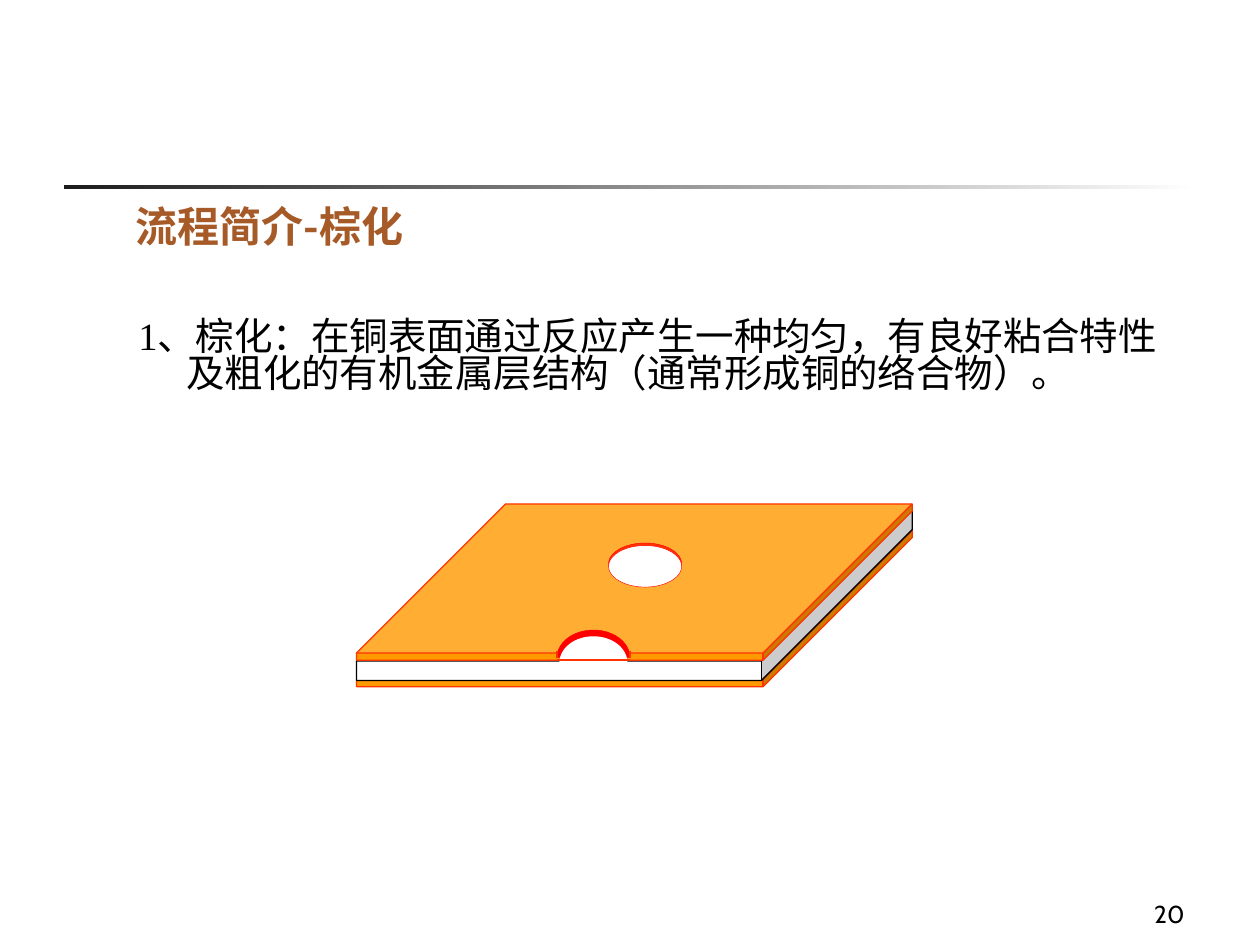
from math import cos, pi, sin

from pptx import Presentation
from pptx.dml.color import RGBColor
from pptx.enum.shapes import MSO_CONNECTOR, MSO_SHAPE
from pptx.enum.text import MSO_ANCHOR, PP_ALIGN
from pptx.oxml.ns import qn
from pptx.util import Inches, Pt

HAN = "Noto Sans CJK SC"
RED = "FF3300"
COPPER = "FF9900"


def color(code):
    return RGBColor.from_string(code)


def add_text(slide, text, box, size, font, ink="000000", bold=False,
             align=PP_ALIGN.LEFT, anchor=MSO_ANCHOR.TOP, hang=0, spacing=None):
    frame = slide.shapes.add_textbox(*map(Inches, box)).text_frame
    frame.word_wrap = True
    frame.vertical_anchor = anchor
    para = frame.paragraphs[0]
    para.alignment = align
    para.line_spacing = spacing
    if hang:
        props = para._p.get_or_add_pPr()
        props.set("marL", str(Inches(hang)))
        props.set("indent", str(-Inches(hang)))
    run = para.add_run()
    run.text = text
    run.font.size = Pt(size)
    run.font.bold = bold
    run.font.name = font
    run.font.color.rgb = color(ink)
    east = run._r.get_or_add_rPr().makeelement(qn("a:ea"), {"typeface": HAN})
    run.font._element.find(qn("a:latin")).addnext(east)


def paint(shape, fill, line=None, width=0.75):
    shape.shadow.inherit = False
    shape.fill.solid()
    shape.fill.fore_color.rgb = color(fill)
    if line:
        shape.line.color.rgb = color(line)
        shape.line.width = Pt(width)
    else:
        shape.line.fill.background()


def add_rule(slide):
    """Draw the bar that fades to white under the title area."""
    bar = slide.shapes.add_shape(
        MSO_SHAPE.RECTANGLE, *map(Inches, (0.51, 1.47, 9, 0.03)))
    paint(bar, "FFFFFF")
    bar.fill.gradient()
    bar.fill.gradient_angle = 0
    for stop, code, place in zip(bar.fill.gradient_stops,
                                 ("1C1C1C", "FFFFFF"), (0, 1)):
        stop.color.rgb = color(code)
        stop.position = place


def add_layer(board, top, height, depth, fill, line):
    cube = board.shapes.add_shape(
        MSO_SHAPE.CUBE, *map(Inches, (2.83, top, 4.41, height)))
    cube.adjustments[0] = depth
    paint(cube, fill, line)


def add_hole(board, top, height, fill):
    hole = board.shapes.add_shape(
        MSO_SHAPE.OVAL, *map(Inches, (4.83, top, 0.58, height)))
    paint(hole, fill, "FF0000", 0.25)


def add_dome(board, base, wide, high, fill, line=None):
    """Draw the upper half of an ellipse that stands on base."""
    steps = 32
    turns = [pi * i / steps for i in range(steps + 1)]
    points = [(Inches(4.71 + wide * cos(t)), Inches(base - high * sin(t)))
              for t in turns]
    path = board.shapes.build_freeform(*points[0])
    path.add_line_segments(points[1:], close=True)
    paint(path.convert_to_shape(), fill, line, 0.25)


def add_line(board, start, end, width=0.75):
    line = board.shapes.add_connector(
        MSO_CONNECTOR.STRAIGHT, *map(Inches, start + end))
    line.line.color.rgb = color(RED)
    line.line.width = Pt(width)
    props = line._element.spPr
    props.append(props.makeelement(qn("a:effectLst"), {}))


def add_board(slide):
    """Draw the copper-clad board with a full and a cut hole."""
    board = slide.shapes.add_group_shape()
    add_layer(board, 4.21, 1.24, 0.954, COPPER, RED)
    add_layer(board, 4.05, 1.35, 0.886, "FFFFFF", "000000")
    add_layer(board, 4, 1.24, 0.954, COPPER, RED)
    add_hole(board, 4.31, 0.33, RED)
    add_hole(board, 4.33, 0.33, "FFFFFF")
    add_dome(board, 5.22, 0.29, 0.22, "FF0000", "FF0000")
    add_dome(board, 5.26, 0.27, 0.21, "FFFFFF")
    for side in (4.42, 5):
        add_line(board, (side, 5.22), (side, 5.17))
    add_line(board, (4.42, 5.24), (5, 5.24), 1)


def main():
    deck = Presentation()
    deck.slide_width, deck.slide_height = Inches(10), Inches(7.5)
    slide = deck.slides.add_slide(deck.slide_layouts[6])
    add_rule(slide)
    add_text(slide, "20", (7.42, 6.92, 2.08, 0.5), 14, "Cabin",
             align=PP_ALIGN.RIGHT, anchor=MSO_ANCHOR.BOTTOM)
    add_text(slide, "流程简介-棕化", (0.98, 1.62, 3.42, 0.42), 24, HAN,
             ink="A55A27", bold=True, anchor=MSO_ANCHOR.BOTTOM)
    add_text(slide, "1、棕化：在铜表面通过反应产生一种均匀，有良好粘合特性"
             "及粗化的有机金属层结构（通常形成铜的络合物）。",
             (1, 2.5, 8.5, 4.29), 22, "Times New Roman", hang=0.38, spacing=0.8)
    add_board(slide)
    deck.save("out.pptx")


if __name__ == "__main__":
    main()
